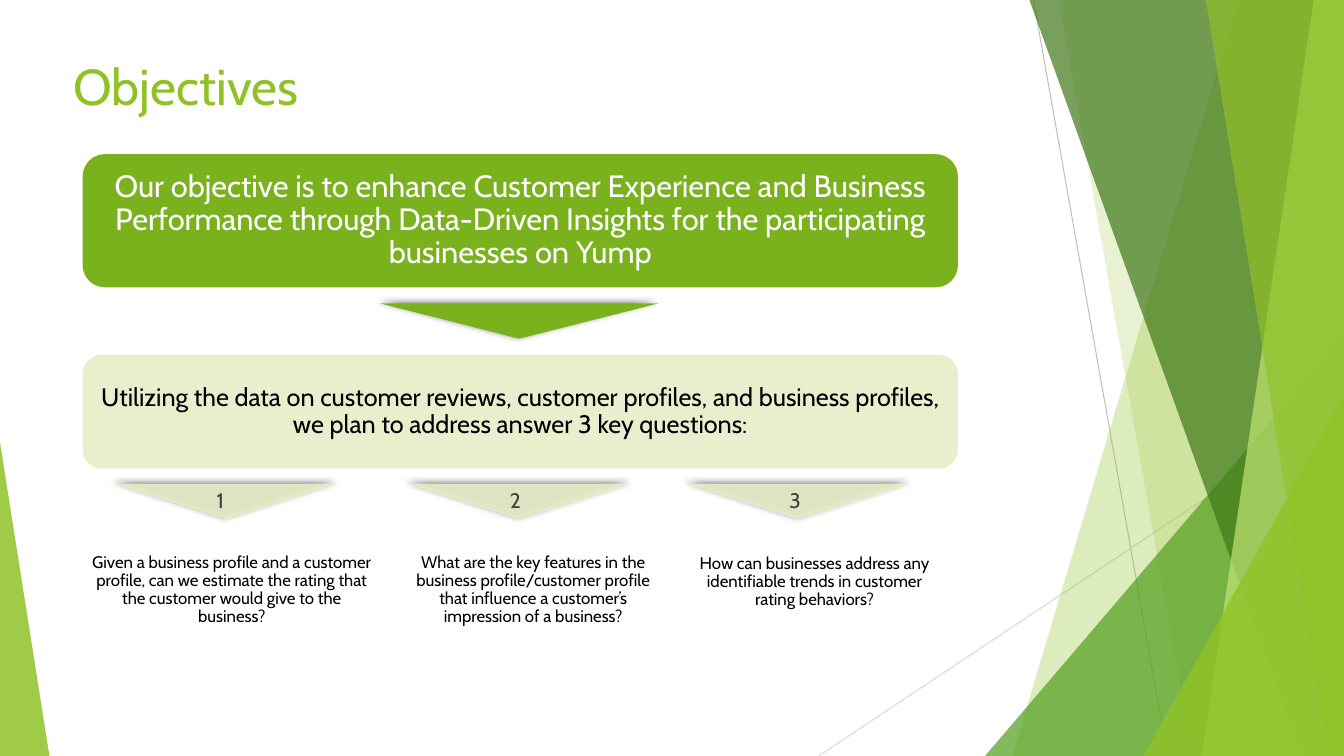
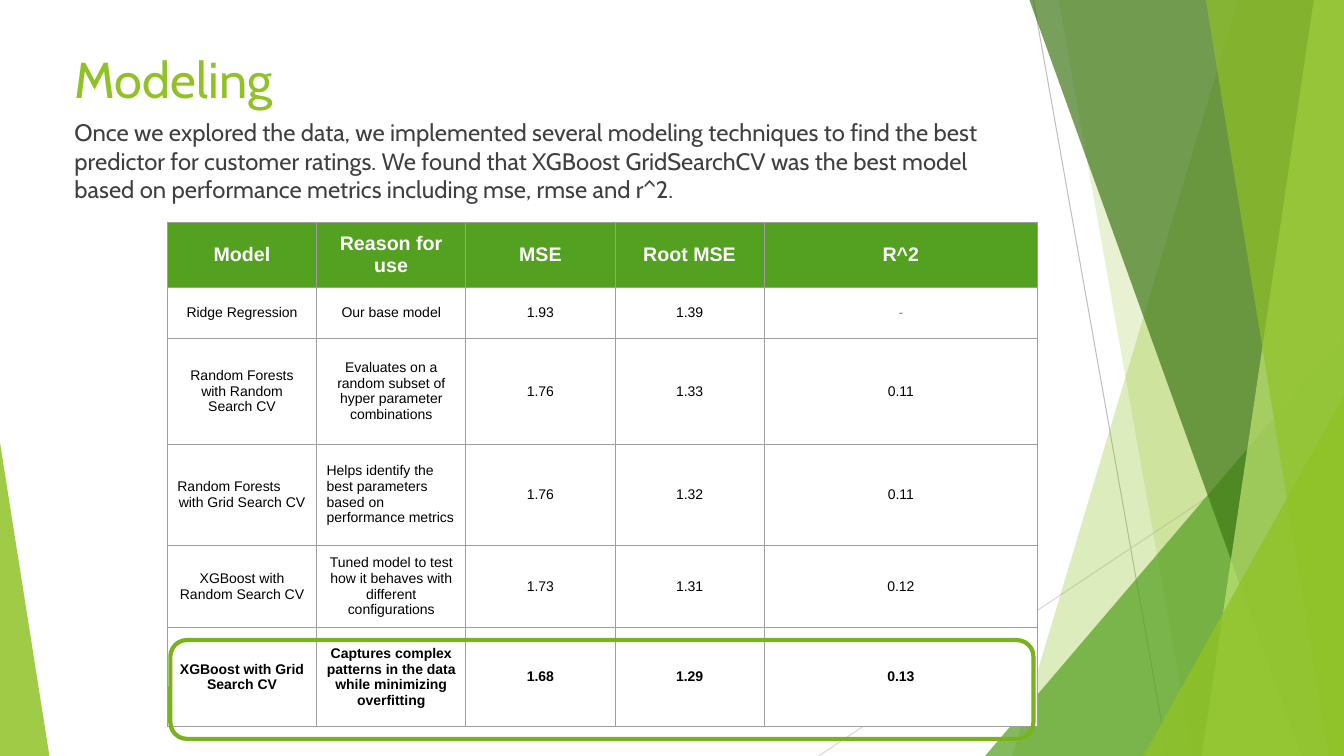
import lxml.etree
import pptx
import pptx.dml.color
import pptx.enum.shapes
import pptx.enum.text
import pptx.oxml.ns
import pptx.util

Inches, Pt = pptx.util.Inches, pptx.util.Pt
qn = pptx.oxml.ns.qn
SHAPE = pptx.enum.shapes.MSO_SHAPE
STRAIGHT = pptx.enum.shapes.MSO_CONNECTOR.STRAIGHT
ALIGN = pptx.enum.text.PP_ALIGN
ANCHOR = pptx.enum.text.MSO_ANCHOR

COLOURS = {
    "lime": "90C226", "green": "54A021", "forest": "3F7818", "pale": "BFE471",
    "leaf": "7AB21E", "cream": "E8EDC7", "orange": "E76618", "white": "FFFFFF",
    "black": "000000", "text": "3F3F3F", "grid": "9E9E9E",
    "steep": "BFBFBF", "shallow": "D8D8D8",
}
WIDTH, HEIGHT = 13.33, 7.5
HEAD_FONT, TABLE_FONT = "Cabin", "Arial"

# Decoration: a band runs from (top x, bottom x) to the right edge.
RAYS = [((10.25, 0), (11.58, 7.5), "steep"), ((13.33, 4.03), (8.12, 7.5), "shallow")]
VEILS = [
    ("band", (12.28, 10.04), "lime", 30),
    ("band", (10.5, 11.83), "lime", 20),
    ("right", (9.77, 3.33, 3.56, 4.17), "green", 72),
    ("band", (10.21, 12.91), "forest", 70),
    ("band", (13.03, 11.92), "pale", 70),
    ("band", (11.96, 13.18), "lime", 65),
    ("right", (11.34, 3.93, 1.99, 3.57), "lime", 80),
    ("left", (0, 4.39, 0.49, 3.11), "lime", 85),
]
PEAKS = {"left": 0, "right": 1}

GOAL = ("Our objective is to enhance Customer Experience and Business Performance through "
        "Data-Driven Insights for the participating businesses on Yump")
PLAN = ("Utilizing the data on customer reviews, customer profiles, and business profiles, "
        "we plan to address answer 3 key questions:")
STATEMENTS = [  # text, top, height, fill, opacity, text colour, size
    (GOAL, 1.53, 1.32, "leaf", 100, "white", 22),
    (PLAN, 3.52, 1.13, "cream", 90, "black", 18),
]
QUESTIONS = [  # text, box, left of the pointer above it
    ("Given a business profile and a customer profile, can we estimate the rating that "
     "the customer would give to the business?", (0.82, 5.25, 2.96, 1.21), 1.13),
    ("What are the key features in the business profile/customer profile that influence "
     "a customer’s impression of a business?", (3.91, 5.25, 2.76, 1.21), 4.04),
    ("How can businesses address any identifiable trends in customer rating behaviors?",
     (6.81, 5.14, 2.54, 1.27), 6.81),
]
POINTER_WIDTH = 2.22

SUMMARY = ("Once we explored the data, we implemented several modeling techniques to find the "
           "best predictor for customer ratings. We found that XGBoost GridSearchCV was the "
           "best model based on performance metrics including mse, rmse and r^2.")
RESULTS = [
    ("Model", "Reason for use", "MSE", "Root MSE", "R^2"),
    ("Ridge Regression", "Our base model", "1.93", "1.39", "-"),
    ("Random Forests\nwith Random Search CV",
     "Evaluates on a random subset of hyper parameter combinations", "1.76", "1.33", "0.11"),
    ("Random Forests\nwith Grid Search CV",
     "Helps identify the best parameters based on performance metrics", "1.76", "1.32", "0.11"),
    ("XGBoost with Random Search CV",
     "Tuned model to test how it behaves with different configurations", "1.73", "1.31", "0.12"),
    ("XGBoost with Grid Search CV",
     "Captures complex patterns in the data while minimizing overfitting",
     "1.68", "1.29", "0.13"),
]
COLUMN_WIDTHS = [1.48] * 4 + [2.71]
ROW_HEIGHTS = [0.63, 0.51, 1.05, 1.0, 0.82, 0.98]
LEFT_STARTS = {(3, 0), (3, 1)}  # cells whose first paragraph is left-aligned


def rgb(name):
    return pptx.dml.color.RGBColor.from_string(COLOURS[name])


def inches(values):
    return [Inches(value) for value in values]


def paint(shape, fill=None, opacity=100, line=None, weight=0.75):
    """Set fill, opacity and outline, and drop the shadow."""
    shape.shadow.inherit = False
    if fill:
        shape.fill.solid()
        shape.fill.fore_color.rgb = rgb(fill)
        if opacity < 100:
            colour = shape.element.spPr.find(qn("a:solidFill"))[0]
            lxml.etree.SubElement(colour, qn("a:alpha"), val=str(opacity * 1000))
    else:
        shape.fill.background()
    if line:
        shape.line.color.rgb = rgb(line)
        shape.line.width = Pt(weight)
    else:
        shape.line.fill.background()


def style(paragraph, size, colour, align=ALIGN.LEFT, bold=False, font=HEAD_FONT, spacing=1.0):
    paragraph.alignment = align
    paragraph.line_spacing = spacing
    for key, value in {"name": font, "size": Pt(size), "bold": bold}.items():
        setattr(paragraph.font, key, value)
    paragraph.font.color.rgb = rgb(colour)


def write(shape, text, margins, anchor, **look):
    """Put one formatted paragraph in a shape; margins are (side, end)."""
    side, end = inches(margins)
    frame = shape.text_frame
    settings = {"word_wrap": True, "vertical_anchor": anchor, "margin_left": side,
                "margin_right": side, "margin_top": end, "margin_bottom": end}
    for key, value in settings.items():
        setattr(frame, key, value)
    frame.text = text
    style(frame.paragraphs[0], **look)


def add_label(slide, box, text, size):
    label = slide.shapes.add_textbox(*inches(box))
    write(label, text, (0.1, 0.1), ANCHOR.TOP, size=size, colour="text")


def add_pointer(slide, box, fill, opacity, direction):
    """Add a downward triangle with a soft shadow along its top."""
    pointer = slide.shapes.add_shape(SHAPE.ISOSCELES_TRIANGLE, *inches(box))
    pointer.rotation = 180
    paint(pointer, fill, opacity)
    effects = pointer.element.spPr.find(qn("a:effectLst"))
    shadow = lxml.etree.SubElement(
        effects, qn("a:outerShdw"), blurRad=str(Pt(4.5)), dist=str(Pt(1.5)),
        dir=str(direction * 60000), rotWithShape="0")
    colour = lxml.etree.SubElement(shadow, qn("a:srgbClr"), val=COLOURS["black"])
    lxml.etree.SubElement(colour, qn("a:alpha"), val="50000")


def decorate(layout, slide):
    """Draw the rays and veils, then move them to the layout behind its placeholders."""
    shapes, parts = slide.shapes, []
    for start, end, colour in RAYS:
        ray = shapes.add_connector(STRAIGHT, *inches(start + end))
        ray.line.color.rgb = rgb(colour)
        ray.line.width = Pt(0.75)
        lxml.etree.SubElement(ray.element.spPr, qn("a:effectLst"))
        parts.append(ray)
    for kind, place, colour, opacity in VEILS:
        if kind == "band":
            top, bottom = place
            outline = shapes.build_freeform(Inches(top), 0)
            corners = [(WIDTH, 0), (WIDTH, HEIGHT), (bottom, HEIGHT)]
            outline.add_line_segments([inches(corner) for corner in corners])
            veil = outline.convert_to_shape()
        else:
            veil = shapes.add_shape(SHAPE.ISOSCELES_TRIANGLE, *inches(place))
            veil.adjustments[0] = PEAKS[kind]
        paint(veil, colour, opacity)
        parts.append(veil)
    tree = layout.shapes.element
    for index, part in enumerate(parts):
        part.element.xpath("./*/p:cNvPr")[0].set("id", str(100 + index))
        tree.insert(2 + index, part.element)


def set_title(slide, text, left, top):
    title = slide.shapes.title
    title.left, title.top, title.width, title.height = inches((left, top, 9.4, 1.44))
    write(title, text, (0.1, 0.05), ANCHOR.TOP, size=36, colour="lime")


def build_objectives(slide):
    set_title(slide, "Objectives", 0.63, 0.5)
    for text, box, _ in QUESTIONS:
        question = slide.shapes.add_shape(SHAPE.RECTANGLE, *inches(box))
        paint(question, "white")
        write(question, text, (0.09, 0.02), ANCHOR.MIDDLE, size=12, colour="black",
              align=ALIGN.CENTER, spacing=0.9)
    add_pointer(slide, (3.77, 3.01, 2.76, 0.35), "leaf", 100, 213)
    for text, top, height, fill, opacity, colour, size in STATEMENTS:
        statement = slide.shapes.add_shape(
            SHAPE.ROUNDED_RECTANGLE, *inches((0.82, top, 8.68, height)))
        paint(statement, fill, opacity)
        write(statement, text, (0.1, 0.1), ANCHOR.MIDDLE, size=size, colour=colour,
              align=ALIGN.CENTER, spacing=0.9)
    for number, (_, _, left) in enumerate(QUESTIONS, 1):
        add_pointer(slide, (left, 4.8, POINTER_WIDTH, 0.35), "cream", 90, 226)
        add_label(slide, (left + POINTER_WIDTH / 2 - 0.19, 4.74, 0.37, 0.45), str(number), 15)


def add_borders(cell):
    properties = cell._tc.get_or_add_tcPr()
    for side in ("lnL", "lnR", "lnT", "lnB"):
        border = lxml.etree.SubElement(properties, qn("a:" + side), w=str(Pt(0.75)))
        fill = lxml.etree.SubElement(border, qn("a:solidFill"))
        lxml.etree.SubElement(fill, qn("a:srgbClr"), val=COLOURS["grid"])


def fill_cell(cell, text, row, column):
    header = row == 0
    add_borders(cell)
    cell.fill.solid()
    cell.fill.fore_color.rgb = rgb("green" if header else "white")
    cell.vertical_anchor = ANCHOR.MIDDLE
    for side in ("left", "right", "top", "bottom"):
        setattr(cell, "margin_" + side, Inches(0.1))
    cell.text = text
    colour = "white" if header else "orange" if text == "-" else "black"
    for index, paragraph in enumerate(cell.text_frame.paragraphs):
        starts_left = index == 0 and (row, column) in LEFT_STARTS
        style(paragraph, 14 if header else 10, colour,
              ALIGN.LEFT if starts_left else ALIGN.CENTER,
              bold=row in (0, len(RESULTS) - 1), font=TABLE_FONT)


def build_modeling(slide):
    set_title(slide, "Modeling", 0.64, 0.43)
    frame = slide.shapes.add_table(
        len(RESULTS), len(COLUMN_WIDTHS),
        *inches((1.66, 2.21, sum(COLUMN_WIDTHS), sum(ROW_HEIGHTS))))
    results = frame.table
    results.horz_banding = False
    for column, width in zip(results.columns, COLUMN_WIDTHS):
        column.width = Inches(width)
    for row, height in zip(results.rows, ROW_HEIGHTS):
        row.height = Inches(height)
    for row, texts in enumerate(RESULTS):
        for column, text in enumerate(texts):
            fill_cell(results.cell(row, column), text, row, column)
    add_label(slide, (0.64, 1.07, 9.58, 0.93), SUMMARY, 17)
    best_model = slide.shapes.add_shape(
        SHAPE.ROUNDED_RECTANGLE, *inches((1.69, 6.35, 8.56, 0.98)))
    paint(best_model, line="leaf", weight=3)


def main():
    deck = pptx.Presentation()
    deck.slide_width, deck.slide_height = inches((WIDTH, HEIGHT))
    layout = deck.slide_layouts.get_by_name("Title Only")
    objectives, modeling = [deck.slides.add_slide(layout) for _ in range(2)]
    decorate(layout, objectives)
    build_objectives(objectives)
    build_modeling(modeling)
    deck.save("out.pptx")


if __name__ == "__main__":
    main()
